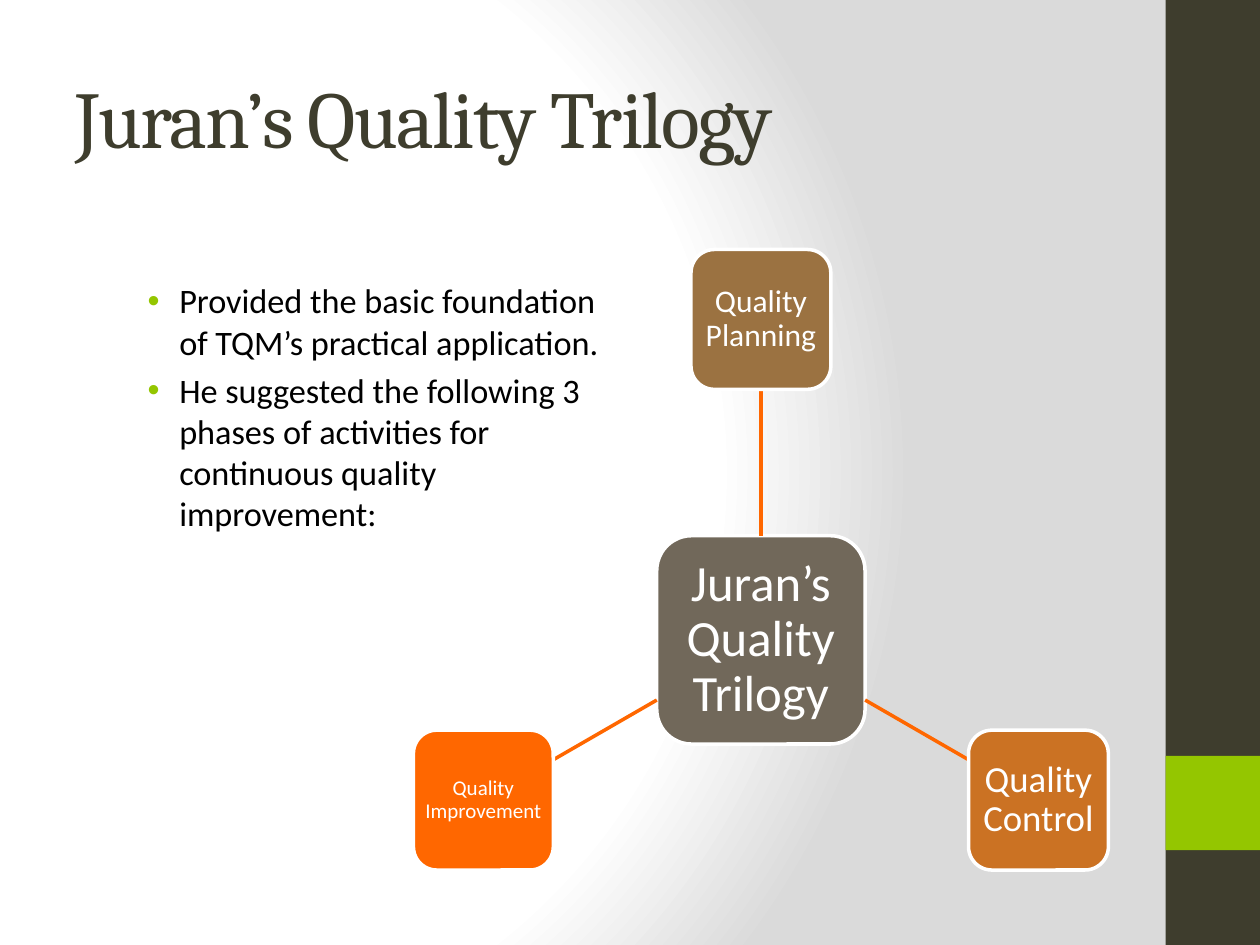
from math import cos, radians, sin

from lxml import etree
from pptx import Presentation
from pptx.dml.color import RGBColor
from pptx.enum.shapes import MSO_CONNECTOR as Link, MSO_SHAPE as Kind
from pptx.enum.text import MSO_ANCHOR as Anchor, MSO_AUTO_SIZE as Fit, PP_ALIGN as Align
from pptx.oxml import parse_xml
from pptx.oxml.ns import nsdecls, qn
from pptx.util import Cm, Pt

DARK, GREEN, ORANGE, WHITE = "3E3D2D", "94C600", "FF6700", "FFFFFF"


def color(code):
    """Turn a hex string into a colour."""
    return RGBColor.from_string(code)


def write(para, text, size, face="Calibri", ink=WHITE, align=Align.LEFT,
          lead=1.0, before=0, track=None):
    """Put formatted text into a paragraph."""
    para.alignment, para.line_spacing = align, lead
    para.space_before = Pt(before)
    run = para.add_run()
    run.text = text
    font = run.font
    font.size, font.name = Pt(size), face
    font.color.rgb = color(ink)
    if track is not None:
        font._element.set("spc", str(track))


def bullet(para, left, hang, ink):
    """Give a paragraph a coloured round bullet and a hanging indent."""
    props = para._p.get_or_add_pPr()
    props.set("marL", str(Cm(left)))
    props.set("indent", str(-Cm(hang)))
    tint = etree.SubElement(props, qn("a:buClr"))
    etree.SubElement(tint, qn("a:srgbClr")).set("val", ink)
    etree.SubElement(props, qn("a:buFont")).set("typeface", "Arial")
    etree.SubElement(props, qn("a:buChar")).set("char", "•")


class Deck:
    """Holds the style and the current slide."""

    def __init__(self):
        """Open a deck with one title and body slide."""
        self.show = Presentation()
        self.show.slide_width, self.show.slide_height = Cm(25.4), Cm(19.05)
        self.slide = self.show.slides.add_slide(self.show.slide_layouts[1])
        self.shapes = self.slide.shapes

    def glow(self, stops):
        """Fill the background with a round gradient."""
        marks = "".join(f'<a:gs pos="{at * 1000}"><a:srgbClr val="{ink}"/></a:gs>'
                        for at, ink in stops)
        self.slide._element.cSld.insert(0, parse_xml(
            f'<p:bg {nsdecls("p", "a")}><p:bgPr><a:gradFill rotWithShape="1">'
            f'<a:gsLst>{marks}</a:gsLst><a:path path="circle">'
            '<a:fillToRect l="20000" t="50000" r="100000" b="50000"/></a:path>'
            '</a:gradFill><a:effectLst/></p:bgPr></p:bg>'))

    def box(self, left, top, width, height, fill, kind=Kind.RECTANGLE, edge=None):
        """Draw a filled preset shape."""
        box = self.shapes.add_shape(kind, Cm(left), Cm(top), Cm(width), Cm(height))
        box.shadow.inherit = False
        box.fill.solid()
        box.fill.fore_color.rgb = color(fill)
        if edge:
            box.line.color.rgb = color(edge)
            box.line.width = Pt(2)
        else:
            box.line.fill.background()
        return box

    def node(self, x, y, side, fill, text, size, pad):
        """Draw a labelled round square about a centre."""
        box = self.box(x - side / 2, y - side / 2, side, side, fill,
                       Kind.ROUNDED_RECTANGLE, WHITE)
        frame = box.text_frame
        frame.word_wrap, frame.vertical_anchor = True, Anchor.MIDDLE
        frame.margin_left = frame.margin_right = Cm(pad)
        frame.margin_top = frame.margin_bottom = Cm(pad)
        write(frame.paragraphs[0], text, size, align=Align.CENTER, lead=0.9)

    def line(self, *ends):
        """Draw a straight spoke."""
        line = self.shapes.add_connector(Link.STRAIGHT, *map(Cm, ends))
        line.line.color.rgb = color(ORANGE)
        line.line.width = Pt(2)
        etree.SubElement(line._element.spPr, qn("a:effectLst"))

    def holder(self, slot, left, top, width, height, anchor):
        """Place a template placeholder and return its text frame."""
        item = self.slide.placeholders[slot]
        item.left, item.top, item.width, item.height = map(Cm, (left, top, width, height))
        frame = item.text_frame
        frame.word_wrap, frame.auto_size = True, Fit.NONE
        frame.vertical_anchor = anchor
        return frame

    def title(self, text):
        """Write the slide title."""
        frame = self.holder(0, 1.27, 0.76, 21.16, 3.18, Anchor.MIDDLE)
        write(frame.paragraphs[0], text, 46, "Cambria", DARK, track=-100)

    def body(self, items):
        """Write the bullet list."""
        frame = self.holder(1, 2.39, 5.51, 9.96, 5.26, Anchor.TOP)
        for num, text in enumerate(items):
            para = frame.add_paragraph() if num else frame.paragraphs[0]
            write(para, text, 19.6, ink="000000", before=3.9)
            bullet(para, 0.97, 0.64, GREEN)

    def wheel(self, x, y, reach, hub, rim, core, spokes):
        """Draw a hub with nodes spread evenly round it."""
        self.node(x, y, hub, *core)
        for num, spoke in enumerate(spokes):
            turn = radians(360 / len(spokes) * num - 90)
            across, down = cos(turn), sin(turn)
            edge = 0.5 / max(abs(across), abs(down))
            near, far = hub * edge, reach - rim * edge
            self.line(x + near * across, y + near * down,
                      x + far * across, y + far * down)
            self.node(x + reach * across, y + reach * down, rim, *spoke)


deck = Deck()
deck.glow([(0, WHITE), (75, WHITE), (100, "DADADA")])
deck.box(23.5, 0, 1.9, 19.05, DARK)
deck.box(23.5, 15.24, 1.9, 1.9, GREEN)
deck.title("Juran’s Quality Trilogy")
deck.body([
    "Provided the basic foundation of TQM’s practical application.",
    "He suggested the following 3 phases of activities for continuous quality improvement:",
])
deck.wheel(
    15.34, 12.9, reach=6.46, hub=4.2, rim=2.82,
    core=("71685A", "Juran’s Quality Trilogy", 29, 0.2),
    spokes=[
        ("9B7241", "Quality Planning", 18, 0.13),
        ("CB7223", "Quality Control", 21, 0.15),
        (ORANGE, "Quality Improvement", 12, 0.08),
    ])
deck.show.save("out.pptx")
